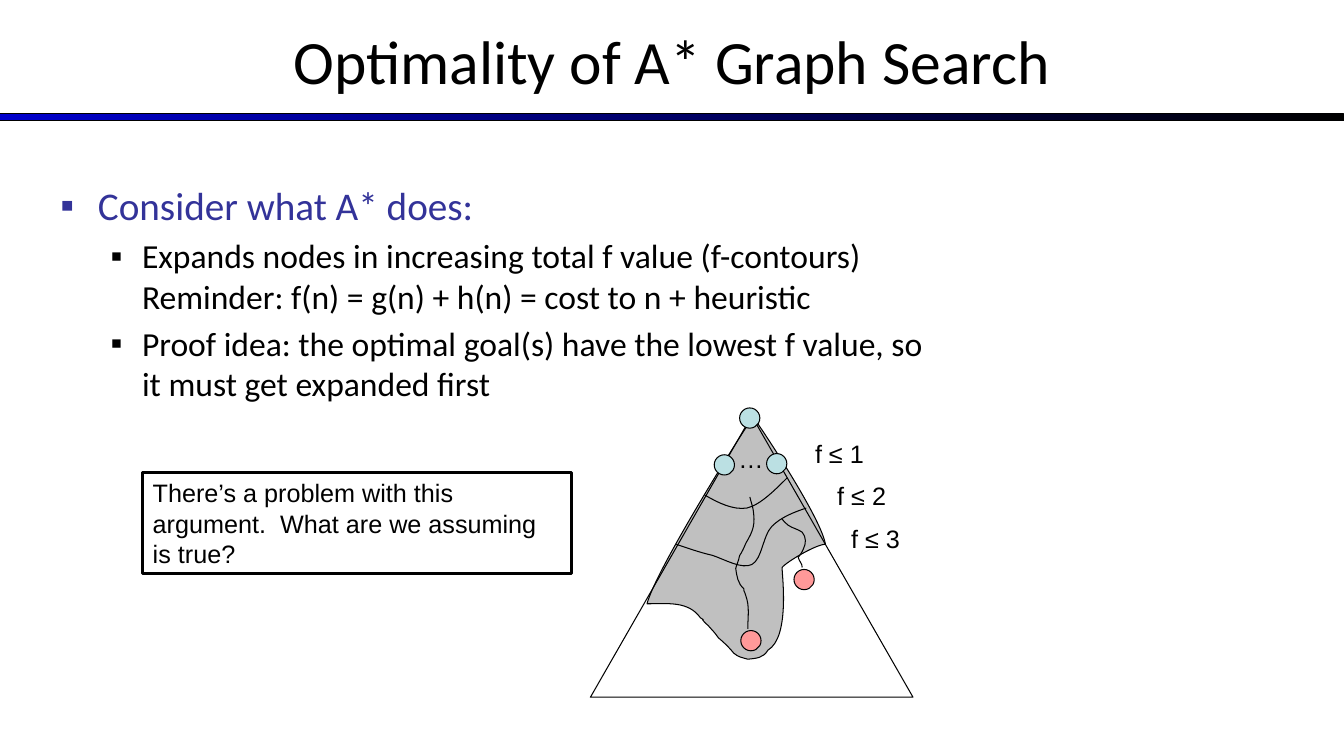
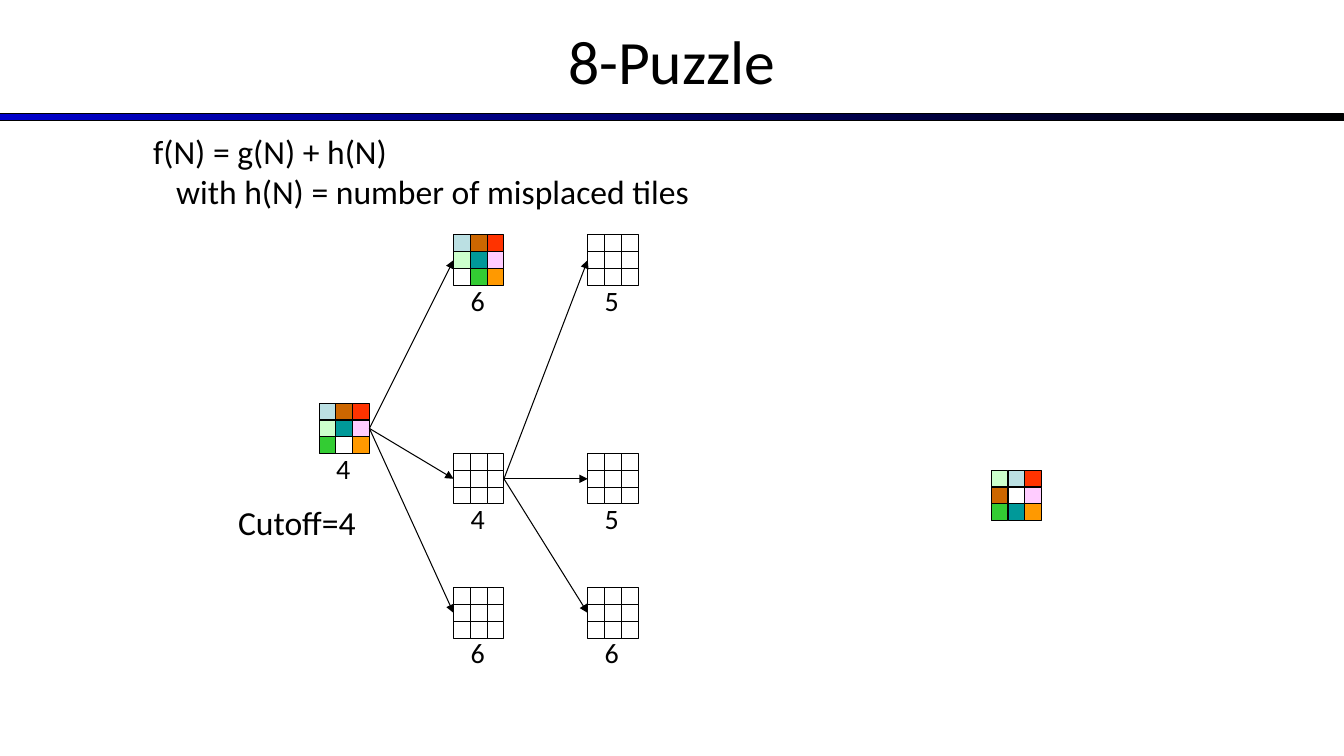
from lxml import etree
from pptx import Presentation
from pptx.dml.color import RGBColor
from pptx.enum.shapes import MSO_CONNECTOR, MSO_SHAPE
from pptx.enum.text import MSO_ANCHOR, PP_ALIGN
from pptx.oxml.ns import qn
from pptx.util import Cm, Pt

RECT, OVAL = MSO_SHAPE.RECTANGLE, MSO_SHAPE.OVAL
TRIANGLE = MSO_SHAPE.ISOSCELES_TRIANGLE
STRAIGHT = MSO_CONNECTOR.STRAIGHT
MIDDLE, CENTER = MSO_ANCHOR.MIDDLE, PP_ALIGN.CENTER

BLACK = RGBColor(0x00, 0x00, 0x00)
WHITE = RGBColor(0xFF, 0xFF, 0xFF)
BLUE = RGBColor(0x00, 0x00, 0xCC)
INDIGO = RGBColor(0x33, 0x33, 0x99)
GRAY = RGBColor(0xC0, 0xC0, 0xC0)
AQUA = RGBColor(0xBB, 0xE0, 0xE3)
PINK = RGBColor(0xFF, 0x99, 0x99)
BROWN = RGBColor(0xCC, 0x66, 0x00)
RED = RGBColor(0xFF, 0x33, 0x00)
MINT = RGBColor(0xCC, 0xFF, 0xCC)
TEAL = RGBColor(0x00, 0x99, 0x99)
LILAC = RGBColor(0xFF, 0xCC, 0xFF)
GREEN = RGBColor(0x33, 0xCC, 0x33)
ORANGE = RGBColor(0xFF, 0x99, 0x00)


def style(sp, fill=None, width=0.75):
    """Set a plain fill (or none) and a black outline, without shadow."""
    sp.shadow.inherit = False
    if fill is None:
        sp.fill.background()
    else:
        sp.fill.solid()
        sp.fill.fore_color.rgb = fill
    sp.line.color.rgb = BLACK
    sp.line.width = Pt(width)


def add_text(s, x, y, w, h, lines, size, font="Calibri"):
    """Add a text box with one paragraph per line; \\n breaks inside one."""
    sp = s.shapes.add_textbox(Cm(x), Cm(y), Cm(w), Cm(h))
    tf = sp.text_frame
    tf.word_wrap = True
    for i, line in enumerate(lines):
        p = tf.add_paragraph() if i else tf.paragraphs[0]
        for j, part in enumerate(line.split("\n")):
            if j:
                p.add_line_break()
            r = p.add_run()
            r.text = part
            r.font.name, r.font.size = font, Pt(size)
            r.font.color.rgb = BLACK
    return sp


prs = Presentation()
prs.slide_width, prs.slide_height = Cm(33.87), Cm(19.05)

# Both slides: gradient band and title
slides = []
for title in ("Optimality of A* Graph Search", "8-Puzzle"):
    s = prs.slides.add_slide(prs.slide_layouts[6])
    band = s.shapes.add_shape(RECT, 0, Cm(2.87), prs.slide_width, Cm(0.18))
    style(band, BLUE)
    band.fill.gradient()
    band.fill.gradient_angle = 0
    for stop, color in zip(band.fill.gradient_stops, (BLUE, BLACK)):
        stop.color.rgb = color
    tf = add_text(s, 0, -0.08, 33.87, 3.18, [title], 44).text_frame
    tf.vertical_anchor = MIDDLE
    tf.paragraphs[0].alignment = CENTER
    slides.append(s)

# Slide 1: bullets
s = slides[0]
body = add_text(s, 1.27, 4.45, 22.86, 5.92, [
    "Consider what A* does:",
    "Expands nodes in increasing total f value (f-contours)\n"
    "Reminder: f(n) = g(n) + h(n) = cost to n + heuristic",
    "Proof idea: the optimal goal(s) have the lowest f value, "
    "so it must get expanded first"], 24)
for i, p in enumerate(body.text_frame.paragraphs):
    margin, hang = (2.06, 0.79) if i else (0.95, 0.95)
    if i:
        p.level = 1
        p.space_before = Pt(4.8)
    else:
        p.runs[0].font.size = Pt(28)
        p.runs[0].font.color.rgb = INDIGO
    pPr = p._p.get_or_add_pPr()
    pPr.set("marL", str(Cm(margin)))
    pPr.set("indent", str(-Cm(hang)))
    etree.SubElement(pPr, qn("a:buFont")).set("typeface", "Arial")
    etree.SubElement(pPr, qn("a:buChar")).set("char", "▪")

# Slide 1: contours and paths as Bezier chains, in hundredths of an inch
EXPANDED = [
    (753, 422), (766, 441), (815, 516), (819, 540),
    (810, 540), (781, 557), (776, 563), (776, 571), (784, 632), (762, 645),
    (757, 653), (751, 653), (742, 654), (735, 652), (733, 652), (728, 648),
    (725, 644), (718, 637), (713, 633), (707, 625), (710, 629), (703, 621),
    (690, 609), (703, 618), (695, 613), (683, 596), (662, 599), (642, 599),
    (650, 568), (722, 452), (741, 423), (759, 394), (750, 422), (753, 422)]
LONG_PATH = [
    (744, 493), (745, 497), (746, 500), (747, 504),
    (750, 521), (747, 527), (740, 539), (738, 544), (736, 548), (734, 551),
    (732, 558), (734, 552), (732, 558), (731, 560), (730, 564), (730, 564),
    (731, 571), (732, 579), (738, 584), (738, 585), (738, 587), (739, 588),
    (739, 589), (740, 590), (740, 591), (744, 602), (742, 612), (742, 624)]
SHORT_PATH = [
    (776, 515), (778, 517), (779, 519), (782, 521),
    (786, 524), (792, 525), (796, 528), (800, 533), (800, 539), (797, 545),
    (796, 548), (792, 553), (792, 553), (793, 557), (796, 559), (796, 563)]
CONTOUR_2 = [
    (800, 504), (788, 508), (775, 513), (766, 522),
    (757, 531), (756, 555), (746, 560), (736, 565), (719, 555), (707, 551),
    (694, 548), (683, 544), (671, 540)]
CONTOUR_1 = [(781, 474), (768, 487), (754, 501), (741, 504),
             (727, 506), (713, 499), (699, 491)]
for curve, fill in ((EXPANDED, GRAY), (LONG_PATH, None), (SHORT_PATH, None),
                    (CONTOUR_2, None), (CONTOUR_1, None)):
    fb = s.shapes.build_freeform(*curve[0], scale=Cm(2.54) / 100)
    fb.add_line_segments(curve[1:], close=fill is not None)
    sp = fb.convert_to_shape()
    style(sp, fill)
    # Merge every three line segments into one cubic Bezier segment
    segments = list(sp._element.iter(qn("a:lnTo")))
    for i in range(0, len(segments), 3):
        bezier = etree.Element(qn("a:cubicBezTo"))
        segments[i].addprevious(bezier)
        for segment in segments[i:i + 3]:
            bezier.append(segment[0])
            segment.getparent().remove(segment)

# Slide 1: search tree, nodes and labels
style(s.shapes.add_shape(TRIANGLE, Cm(14.88), Cm(10.48), Cm(8.13), Cm(7.09)))
add_text(s, 18.36, 11.05, 0.76, 1.02, ["…"], 18, "Arial")
for x, y, color in ((18.64, 10.28, AQUA), (18, 11.46, AQUA),
                    (19.32, 11.43, AQUA), (20.01, 14.35, PINK),
                    (18.67, 15.89, PINK)):
    style(s.shapes.add_shape(OVAL, Cm(x), Cm(y), Cm(0.51), Cm(0.51)), color)
for x, y, label in ((20.29, 10.92, "f ≤ 1"), (20.85, 11.97, "f ≤ 2"),
                    (21.2, 13.07, "f ≤ 3")):
    add_text(s, x, y, 2.29, 1.02, [label], 18, "Arial")

# Slide 1: question box
sp = add_text(s, 3.6, 11.91, 10.8, 2.54, [
    "There’s a problem with this argument.  What are we assuming is true?"],
    18, "Arial")
style(sp, WHITE, 2)

# Slide 2: formula and cutoff
s = slides[1]
sp = add_text(s, 3.61, 3.17, 17.5, 2.29, [
    "f(N) = g(N) + h(N)", "with h(N) = number of misplaced tiles"], 24)
sp.text_frame.paragraphs[1]._p.get_or_add_pPr().set("marL", str(Cm(0.58)))
add_text(s, 5.75, 12.52, 4.32, 1.27, ["Cutoff=4"], 24)

# Slide 2: boards, as x, y, tiles row by row, f label
BOARD = 1.27
TILE = BOARD / 3
COLS = [8.04, 11.43, 14.81]
TOP, MID, LOW = 5.92, 11.43, 14.81
ROOT_Y = 10.16
START = [AQUA, BROWN, RED, MINT, TEAL, LILAC, GREEN, WHITE, ORANGE]
LEFT = [AQUA, BROWN, RED, MINT, TEAL, LILAC, WHITE, GREEN, ORANGE]
GOAL = [MINT, AQUA, RED, BROWN, WHITE, LILAC, GREEN, TEAL, ORANGE]
EMPTY = [WHITE] * 9
for x, y, tiles, label in (
        (COLS[0], ROOT_Y, START, "4"), (COLS[1], TOP, LEFT, "6"),
        (COLS[1], MID, EMPTY, "4"), (COLS[1], LOW, EMPTY, "6"),
        (COLS[2], TOP, EMPTY, "5"), (COLS[2], MID, EMPTY, "5"),
        (COLS[2], LOW, EMPTY, "6"), (24.98, 11.85, GOAL, None)):
    if label:
        sp = add_text(s, x + 0.18, y + 1.09, 0.94, 1.09, [label], 20)
        if tiles is EMPTY:
            sp.fill.solid()
            sp.fill.fore_color.rgb = WHITE
    for i, color in enumerate(tiles):
        row, col = divmod(i, 3)
        sp = s.shapes.add_shape(RECT, Cm(x + col * TILE), Cm(y + row * TILE),
                                Cm(TILE), Cm(TILE))
        style(sp, color)

# Slide 2: arrows from each expanded board to its three children
for col, y in ((0, ROOT_Y), (1, MID)):
    for child_y in (TOP, MID, LOW):
        cn = s.shapes.add_connector(
            STRAIGHT, Cm(COLS[col] + BOARD), Cm(y + BOARD / 2),
            Cm(COLS[col + 1]), Cm(child_y + BOARD / 2))
        cn.line.color.rgb = BLACK
        cn.line.width = Pt(0.75)
        ln = cn.line._get_or_add_ln()
        etree.SubElement(ln, qn("a:tailEnd")).set("type", "triangle")
        etree.SubElement(cn._element.spPr, qn("a:effectLst"))

prs.save("out.pptx")
